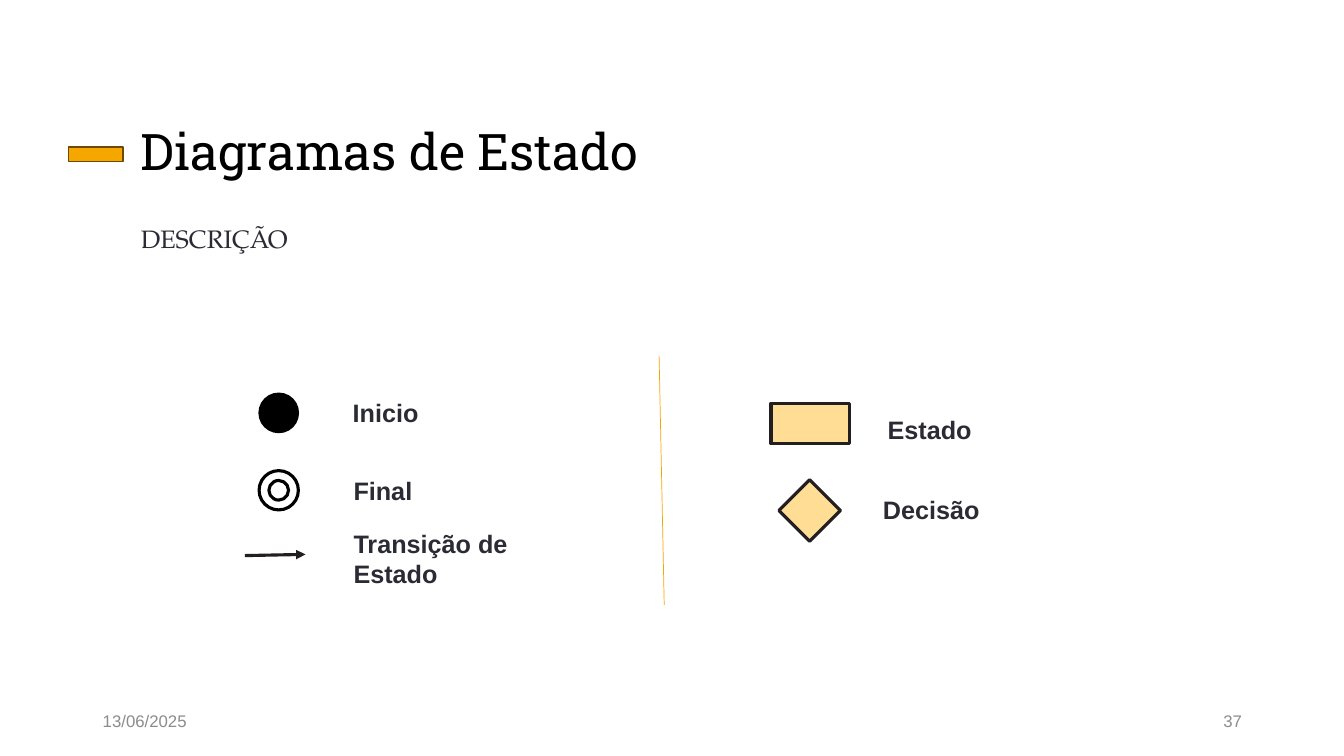
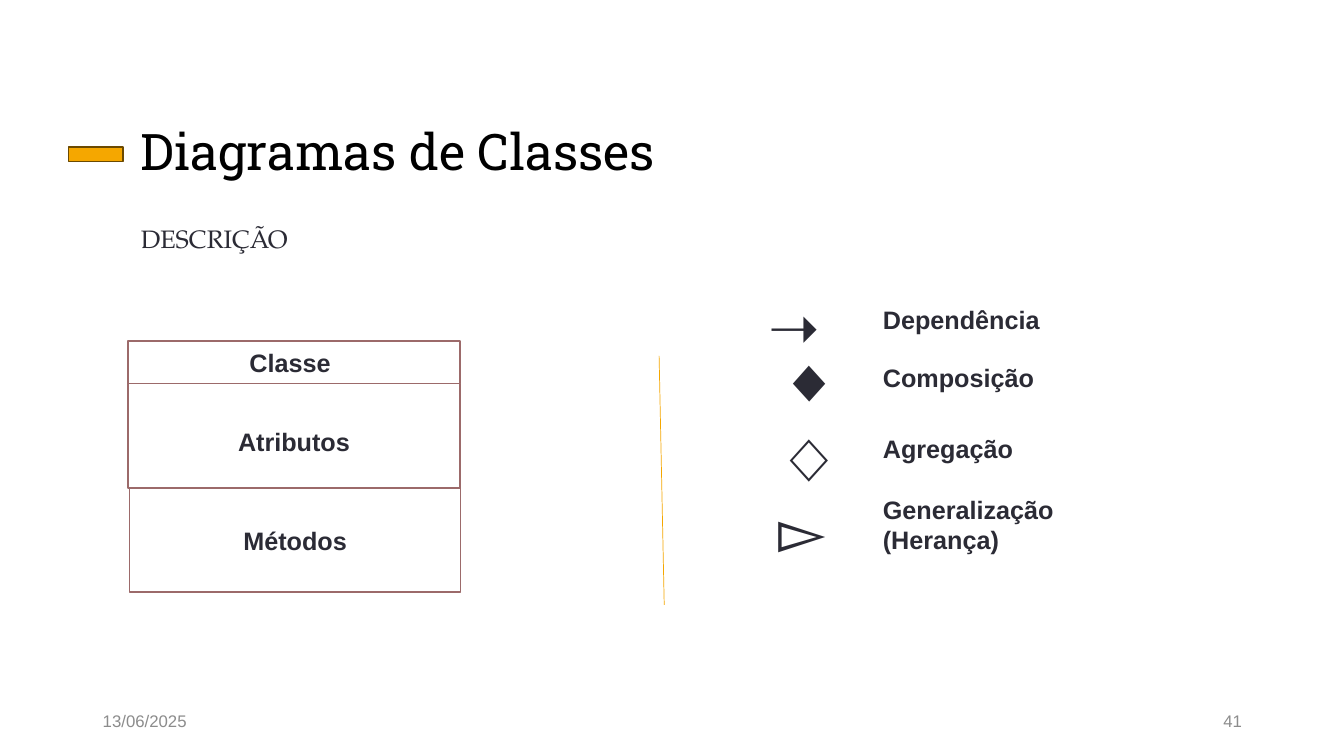
from collections import namedtuple

from lxml import etree
from pptx import Presentation
from pptx.dml import color
from pptx.enum import shapes, text
from pptx.oxml import ns
from pptx.util import Cm, Pt

BLACK = color.RGBColor(0x00, 0x00, 0x00)
WHITE = color.RGBColor(0xFF, 0xFF, 0xFF)
GREY = color.RGBColor(0x8C, 0x8C, 0x8C)
DARK = color.RGBColor(0x2B, 0x2B, 0x35)
OUTLINE = color.RGBColor(0x23, 0x1F, 0x20)
ORANGE = color.RGBColor(0xF5, 0xA7, 0x00)
BROWN = color.RGBColor(0x6B, 0x49, 0x00)
PEACH = color.RGBColor(0xFF, 0xDD, 0x95)
ROSE = color.RGBColor(0x9C, 0x6A, 0x6A)

TITLE = (BLACK, {"name": "Roboto Slab", "size": Pt(36)})
SUBTITLE = (DARK, {"name": "TeX Gyre Pagella", "size": Pt(18)})
LABEL = (DARK, {"name": "Arial", "size": Pt(18), "bold": True})
GLYPH = (DARK, {"name": "Arial", "size": Pt(44)})
FOOTER = (GREY, {"name": "Arial", "size": Pt(12)})

KIND = shapes.MSO_SHAPE
ALIGN = text.PP_ALIGN
ANCHOR = text.MSO_ANCHOR
LABEL_SIZE = (7.06, 1.8)
GLYPH_SIZE = (2.03, 1.93)

Box = namedtuple("Box", "left top width height")
Entry = namedtuple("Entry", "draw symbol label label_at")


def inside(box, left, top, width, height):
    return Box(box.left + left, box.top + top, width, height)


def lengths(box):
    return [Cm(value) for value in box]


def write(frame, words, style, align=ALIGN.LEFT, anchor=ANCHOR.MIDDLE, spacing=1.0):
    font_color, font_format = style
    frame.word_wrap = True
    frame.vertical_anchor = anchor
    for index, line in enumerate(words.split("\n")):
        paragraph = frame.add_paragraph() if index else frame.paragraphs[0]
        paragraph.alignment = align
        paragraph.line_spacing = spacing
        run = paragraph.add_run()
        run.text = line
        for attribute, value in font_format.items():
            setattr(run.font, attribute, value)
        run.font.color.rgb = font_color


def add_text(slide, box, words, style, **layout):
    write(slide.shapes.add_textbox(*lengths(box)).text_frame, words, style, **layout)


def add_shape(slide, box, kind, fill, line, weight):
    shape = slide.shapes.add_shape(kind, *lengths(box))
    shape.shadow.inherit = False
    shape.fill.solid()
    shape.fill.fore_color.rgb = fill
    shape.line.color.rgb = line
    shape.line.width = Pt(weight)
    return shape


def add_line(slide, box, line, weight, arrow=False):
    connector = slide.shapes.add_connector(
        shapes.MSO_CONNECTOR.STRAIGHT,
        *lengths((box.left, box.top, box.left + box.width, box.top + box.height)))
    connector.line.color.rgb = line
    connector.line.width = Pt(weight)
    if arrow:
        etree.SubElement(connector.line._get_or_add_ln(), ns.qn("a:tailEnd"), type="triangle")
    etree.SubElement(connector._element.spPr, ns.qn("a:effectLst"))


def symbol(kind, fill, line, weight):
    return lambda slide, box: add_shape(slide, box, kind, fill, line, weight)


def glyph(character):
    return lambda slide, box: add_text(slide, box, character, GLYPH)


def transition(slide, box):
    add_line(slide, box, OUTLINE, 2.25, arrow=True)


def heading(slide, box, title):
    add_text(slide, inside(box, 1.57, 0, 28.24, 3.28), title, TITLE, spacing=0.9)
    add_shape(slide, inside(box, 0, 1.47, 1.37, 0.36), KIND.RECTANGLE, ORANGE, BROWN, 1)
    add_text(slide, inside(box, 1.57, 3.27, 29.01, 1.7), "DESCRIÇÃO", SUBTITLE, anchor=ANCHOR.TOP)


def footer(slide, box, number):
    width = 7.62
    add_text(slide, inside(box, 0, 0, width, box.height), "13/06/2025", FOOTER)
    add_text(slide, inside(box, box.width - width, 0, width, box.height),
             str(number), FOOTER, align=ALIGN.RIGHT)


def legend(slide, box, entries):
    for entry in entries:
        entry.draw(slide, inside(box, *entry.symbol))
        add_text(slide, inside(box, *entry.label_at, *LABEL_SIZE), entry.label, LABEL)


def class_box(slide, box):
    compartments = [
        ("Classe", 0, 1.07, {"margin_right": Cm(0.2)}),
        ("Atributos", 0, 2.64, {"margin_top": Cm(0.3)}),
        ("Métodos", 0.04, 2.62, {}),
    ]
    top = 0
    for name, indent, height, insets in compartments:
        place = inside(box, indent, top, box.width - indent / 2, height)
        shape = add_shape(slide, place, KIND.RECTANGLE, WHITE, ROSE, 1)
        margins = dict.fromkeys(("margin_left", "margin_right", "margin_top", "margin_bottom"), 0)
        for attribute, value in {**margins, **insets}.items():
            setattr(shape.text_frame, attribute, value)
        write(shape.text_frame, name, LABEL, align=ALIGN.CENTER)
        top += height


def base_slide(presentation, title, number):
    slide = presentation.slides.add_slide(presentation.slide_layouts[6])
    heading(slide, Box(1.73, 2.24, 30.58, 4.97), title)
    add_line(slide, Box(16.61, 8.97, 0.13, 6.27), ORANGE, 0.5)
    footer(slide, Box(2.34, 17.65, 29.21, 1.02), number)
    return slide


def state_slide(presentation):
    slide = base_slide(presentation, "Diagramas de Estado", 37)
    legend(slide, Box(6.17, 9.5, 9.55, 5.5), [
        Entry(symbol(KIND.OVAL, BLACK, BLACK, 1), (0.36, 0.41, 0.99, 0.99),
              "Inicio", (2.47, 0)),
        Entry(symbol(KIND.DONUT, WHITE, BLACK, 2.25), (0.36, 2.36, 0.99, 0.99),
              "Final", (2.49, 1.96)),
        Entry(transition, (0, 4.5, 1.53, -0.03), "Transição de\nEstado", (2.49, 3.68)),
    ])
    legend(slide, Box(19.43, 9.91, 9.75, 3.83), [
        Entry(symbol(KIND.RECTANGLE, PEACH, OUTLINE, 2.25), (0, 0.25, 1.98, 1.02),
              "Estado", (2.69, 0)),
        Entry(symbol(KIND.DIAMOND, PEACH, OUTLINE, 2.25), (0.2, 2.18, 1.55, 1.55),
              "Decisão", (2.57, 2.03)),
    ])


def class_slide(presentation):
    slide = base_slide(presentation, "Diagramas de Classes", 41)
    class_box(slide, Box(3.23, 8.59, 8.36, 6.33))
    rows = [
        ("➝", 0, 0.05, "Dependência", 0),
        ("◆", 0.25, 1.45, "Composição", 1.45),
        ("◇", 0.25, 3.38, "Agregação", 3.23),
        ("▻", 0.25, 5.21, "Generalização (Herança)", 5.16),
    ]
    legend(slide, Box(19.13, 7.16, 9.95, 7.14), [
        Entry(glyph(character), (left, top, *GLYPH_SIZE), label, (2.87, label_top))
        for character, left, top, label, label_top in rows
    ])


def main():
    presentation = Presentation()
    presentation.slide_width = Cm(33.87)
    presentation.slide_height = Cm(19.05)
    state_slide(presentation)
    class_slide(presentation)
    presentation.save("out.pptx")


if __name__ == "__main__":
    main()
